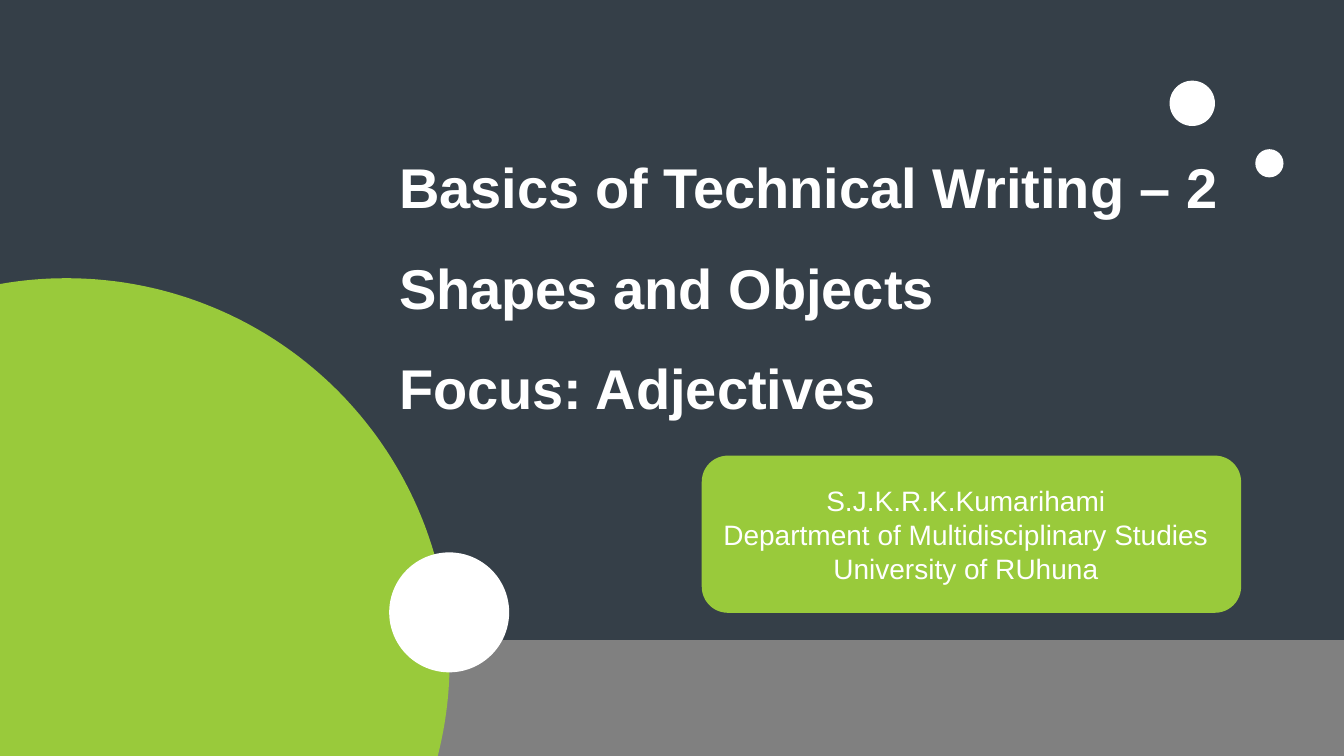
from math import acos, asin, cos, pi, sin

from pptx import Presentation
from pptx.dml.color import RGBColor
from pptx.enum.shapes import MSO_SHAPE
from pptx.enum.text import PP_ALIGN
from pptx.util import Pt

PX = 9144  # EMU per px, 100 px to the inch
WIDTH, HEIGHT = 1333, 750
RECT, ROUND, OVAL = MSO_SHAPE.RECTANGLE, MSO_SHAPE.ROUNDED_RECTANGLE, MSO_SHAPE.OVAL
LEFT, CENTER = PP_ALIGN.LEFT, PP_ALIGN.CENTER
FONT = "Arial"
SLATE, GRAY, GREEN, WHITE = "353F48", "808080", "99CA3B", "FFFFFF"


def px(*vals):
    return [round(v * PX) for v in vals]


def paint(fill, color):
    fill.solid()
    fill.fore_color.rgb = RGBColor.from_string(color)


def style(shape, color):
    paint(shape.fill, color)
    shape.line.fill.background()
    shape.shadow.inherit = False


def add_shape(slide, kind, box, color):
    style(slide.shapes.add_shape(kind, *px(*box)), color)


def add_dot(slide, x, y, size):
    add_shape(slide, OVAL, (x, y, size, size), WHITE)


def add_text(slide, box, lines, size, bold=False, align=LEFT, spacing=1.0):
    frame = slide.shapes.add_textbox(*px(*box)).text_frame
    frame.word_wrap = True
    frame.text = "\n".join(lines)
    for para in frame.paragraphs:
        para.alignment = align
        para.line_spacing = spacing
        para.font.name = FONT
        para.font.size = Pt(size)
        para.font.bold = bold
        paint(para.font.fill, WHITE)


def add_disc(slide, x, y, radius, color):
    """Disc cut off by the left and bottom edges of the slide."""
    first = -acos(-x / radius)
    last = asin((HEIGHT - y) / radius)
    steps = 120
    turns = [first + (last - first) * i / steps for i in range(steps + 1)]
    arc = [px(x + radius * cos(t), y + radius * sin(t)) for t in turns]
    path = slide.shapes.build_freeform(*px(0, HEIGHT))
    path.add_line_segments(arc, close=True)
    style(path.convert_to_shape(), color)


def main():
    deck = Presentation()
    deck.slide_width, deck.slide_height = px(WIDTH, HEIGHT)
    slide = deck.slides.add_slide(deck.slide_layouts[6])
    paint(slide.background.fill, SLATE)

    # Floor band
    add_shape(slide, RECT, (0, 635, WIDTH, 115), GRAY)

    # Title
    title = ["Basics of Technical Writing – 2", "Shapes and Objects", "Focus: Adjectives"]
    add_text(slide, (386, 113, 856, 313), title, 40, bold=True, spacing=1.5)

    # Author card
    add_shape(slide, ROUND, (696, 452, 535, 156), GREEN)
    author = ["S.J.K.R.K.Kumarihami", "Department of Multidisciplinary Studies",
              "University of RUhuna"]
    add_text(slide, (560, 475, 796, 111), author, 20, align=CENTER)

    # Circles
    add_disc(slide, 66, 656, 380, GREEN)
    for dot in ((386, 548, 119), (1160, 80, 45), (1245, 148, 28)):
        add_dot(slide, *dot)

    deck.save("out.pptx")


if __name__ == "__main__":
    main()
